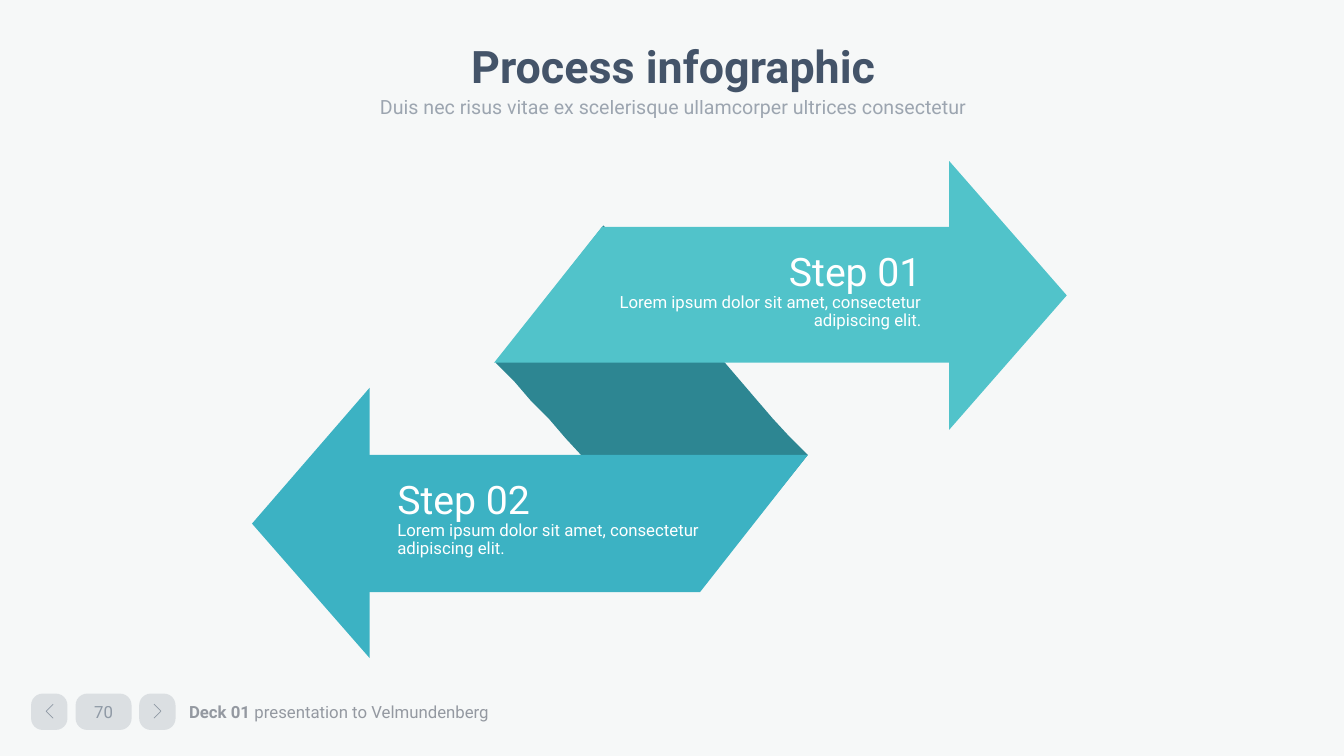
from lxml.etree import SubElement
from pptx import Presentation
from pptx.dml.color import RGBColor
from pptx.enum.shapes import MSO_SHAPE as Kind
from pptx.enum.text import MSO_ANCHOR as Anchor, PP_ALIGN as Align
from pptx.oxml.ns import qn
from pptx.util import Pt

FONT, SLATE, WHITE = "Roboto", "445469", "FFFFFF"
LOREM = "Lorem ipsum dolor sit amet, consectetur adipiscing elit."


def paint(item, color, alpha=100):
    """Give a fill or line fill a solid colour, with opacity in percent."""
    item.solid()
    item.fore_color.rgb = RGBColor.from_string(color)
    if alpha < 100:
        node = next(item._xPr.iter(qn("a:srgbClr")))
        SubElement(node, qn("a:alpha")).set("val", str(alpha * 1000))


def add_run(par, text, size, color, alpha=100, bold=False):
    """Add one styled run to a paragraph."""
    run = par.add_run()
    run.text = text
    run.font.name, run.font.size, run.font.bold = FONT, Pt(size), bold
    paint(run.font.fill, color, alpha)


def set_frame(shape, insets, anchor, align):
    """Set up the text frame of a shape and return its first paragraph."""
    frame = shape.text_frame
    frame.word_wrap = True
    frame.vertical_anchor = anchor
    (frame.margin_left, frame.margin_top,
     frame.margin_right, frame.margin_bottom) = map(Pt, insets)
    frame.paragraphs[0].alignment = align
    return frame.paragraphs[0]


def add_text(slide, rect, insets, anchor, align):
    """Add a text box and return its first paragraph."""
    return set_frame(slide.shapes.add_textbox(*map(Pt, rect)),
                     insets, anchor, align)


def add_free(slide, points, color=None):
    """Draw a filled outline, or an open thin line when no fill is given."""
    draw = slide.shapes.build_freeform(*points[0], scale=Pt(1))
    draw.add_line_segments(points[1:], close=color is not None)
    shape = draw.convert_to_shape()
    shape.shadow.inherit = False
    if color:
        paint(shape.fill, color)
        shape.line.fill.background()
    else:
        shape.fill.background()
        shape.line.width = Pt(0.5)
        paint(shape.line.fill, SLATE, 50)
    return shape


def add_arrow(slide, fold, way, length, color, title):
    """Draw a slanted arrow from its fold corner; way is 1 right, -1 left."""
    def place(*spots):
        return [(fold[0] + way * x, fold[1] - way * y) for x, y in spots]

    end = length + 8.6
    body = add_free(slide, place((0, 0), (77, 97.6), (end, 97.6), (end, 0)),
                    color)
    add_free(slide, place((length, -48.2), (length + 83.5, 48.2),
                          (length, 144.6)), color)
    right = way > 0
    sides = (57.6, 28.8) if right else (28.8, 57.6)
    align = Align.RIGHT if right else Align.LEFT
    par = set_frame(body, (sides[0], 14.4, sides[1], 7.2), Anchor.TOP, align)
    add_run(par, title, 28, WHITE)
    par = body.text_frame.add_paragraph()
    par.alignment, par.line_spacing = align, 0.9
    add_run(par, LOREM, 12, WHITE)


def curve(start, pull, push, stop, steps=12):
    """Return points along a cubic curve."""
    def at(t):
        u = 1 - t
        return tuple(u**3 * a + 3 * u * u * t * b + 3 * u * t * t * c + t**3 * d
                     for a, b, c, d in zip(start, pull, push, stop))
    return [at(n / steps) for n in range(steps + 1)]


def add_button(slide, left, width):
    """Add a pale rounded footer button."""
    shape = slide.shapes.add_shape(Kind.ROUNDED_RECTANGLE, Pt(left), Pt(495.4),
                                   Pt(width), Pt(26))
    shape.adjustments[0] = 0.32
    shape.shadow.inherit = False
    paint(shape.fill, SLATE, 15)
    shape.line.fill.background()
    return shape


def add_footer(slide):
    """Add the page buttons and the footer line."""
    for left, way in ((22.2, -1), (99.4, 1)):
        add_button(slide, left, 26)
        mid = left + 13
        add_free(slide, [(mid - way * 2.5, 503.3), (mid + way * 2.5, 508.3),
                         (mid - way * 2.5, 513.3)])
    page = add_button(slide, 54, 40)
    add_run(set_frame(page, (0, 0, 0, 0), Anchor.MIDDLE, Align.CENTER),
            "70", 12, SLATE, 50)
    par = add_text(slide, (125.6, 496, 264, 24.6), (9.4, 5, 9.4, 5),
                   Anchor.MIDDLE, Align.LEFT)
    add_run(par, "Deck 01 ", 12, "9499A1", bold=True)
    add_run(par, "presentation to Velmundenberg", 12, "9499A1")


def main():
    """Build the slide and save it."""
    deck = Presentation()
    deck.slide_width, deck.slide_height = Pt(960), Pt(540)
    slide = deck.slides.add_slide(deck.slide_layouts[6])
    paint(slide.background.fill, "F6F8F8")
    add_footer(slide)
    left = curve((354.2, 259.2), (405.4, 311.8), (450, 367.9), (501.1, 420.5))
    right = curve((576.7, 324.7), (527.8, 274.3), (479.5, 211.7), (430.6, 160.6))
    add_free(slide, left + right, "2D8692")
    add_arrow(slide, (577, 325.4), -1, 313, "3CB2C3", "Step 02")
    add_arrow(slide, (353.2, 259.2), 1, 325.3, "51C3CA", "Step 01")
    edge = (7.2, 3.6, 7.2, 3.6)
    par = add_text(slide, (67, 28.8, 828, 40.3), edge, Anchor.TOP, Align.CENTER)
    par.line_spacing = 0.9
    add_run(par, "Process infographic", 32, SLATE, bold=True)
    par = add_text(slide, (141, 61.2, 680, 30.2), edge, Anchor.TOP, Align.CENTER)
    par.line_spacing = 1.2
    add_run(par, "Duis nec risus vitae ex scelerisque ullamcorper ultrices "
            "consectetur", 14, SLATE, 50)
    deck.save("out.pptx")


if __name__ == "__main__":
    main()
